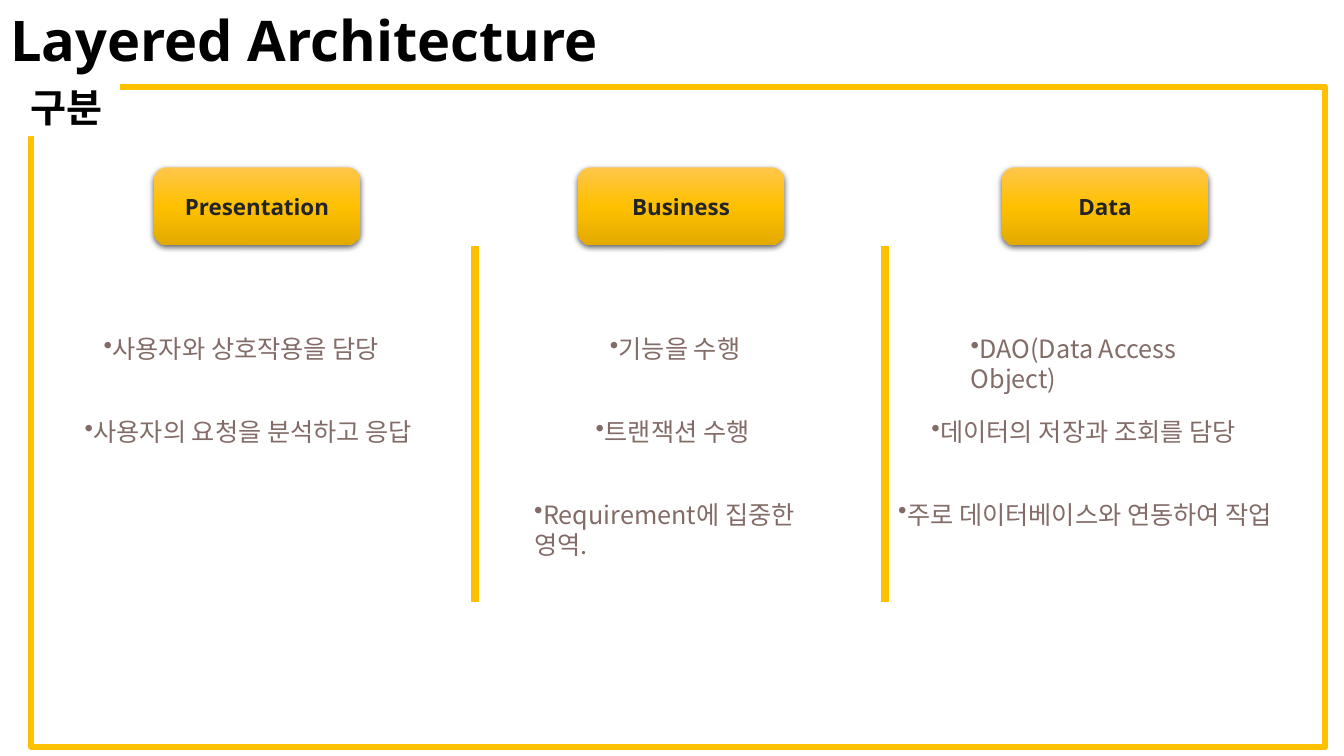
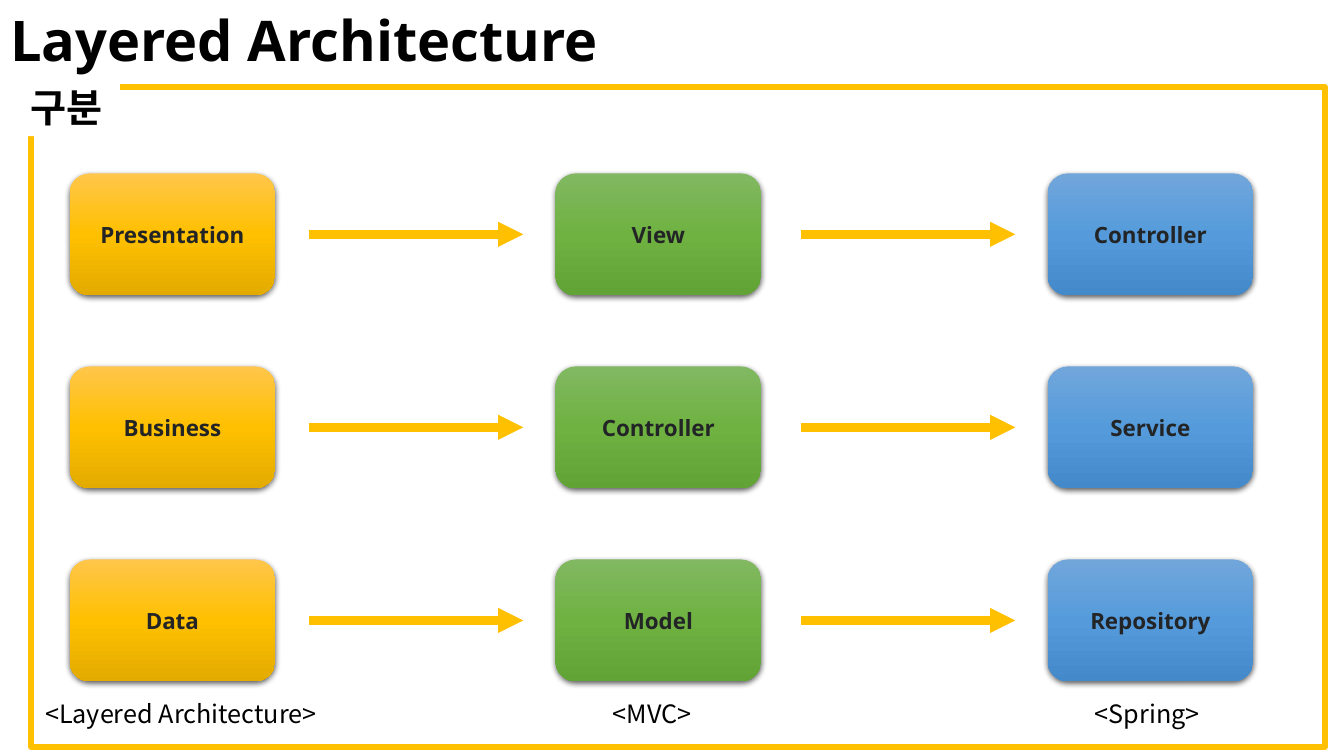
from copy import deepcopy

from pptx import Presentation
from pptx.dml.color import RGBColor
from pptx.enum.shapes import MSO_CONNECTOR, MSO_SHAPE
from pptx.enum.text import MSO_ANCHOR, MSO_AUTO_SIZE, PP_ALIGN
from pptx.oxml import parse_xml
from pptx.oxml.ns import nsdecls, qn
from pptx.util import Inches, Pt

TITLE = "Layered Architecture"
SECTION = "구분"
HEADING_FONT = "Noto Sans"
BODY_FONT = "Noto Sans CJK KR"
BLACK, WHITE, GOLD = "000000", "FFFFFF", "FFC000"
BOX_TEXT, BULLET_TEXT = "222426", "836C68"
GOLD_GRADIENT = ("FFC64B", "FFC000", "E3AB00")
GREEN_GRADIENT = ("81B861", "6FB242", "62A336")
BLUE_GRADIENT = ("71A6DB", "559BDB", "448ACA")

BOX_WIDTH = 2.04
LINE_HEIGHT = 0.4

LAYERS = [
    ("Presentation", [
        ("사용자와 상호작용을 담당", 0.93, 3.28),
        ("사용자의 요청을 분석하고 응답", 0.74, 3.78),
    ]),
    ("Business", [
        ("기능을 수행", 5.95, 1.67),
        ("트랜잭션 수행", 5.81, 1.92),
        ("Requirement에 집중한 영역.", 5.2, 3.29),
    ]),
    ("Data", [
        ("DAO(Data Access Object)", 9.53, 2.97),
        ("데이터의 저장과 조회를 담당", 9.14, 3.75),
        ("주로 데이터베이스와 연동하여 작업", 8.81, 4.29),
    ]),
]
LAYER_LEFT, LAYER_PITCH, LAYER_TOP, LAYER_HEIGHT = 1.53, 4.205, 1.66, 0.77
BULLET_TOP, BULLET_PITCH = 3.26, 0.82
DIVIDERS, DIVIDER_TOP, DIVIDER_BOTTOM = (4.71, 8.78), 2.44, 5.97

MAPPING = [
    (0.69, GOLD_GRADIENT, ["Presentation", "Business", "Data"],
     "<Layered Architecture>", 0.35, 2.9),
    (5.51, GREEN_GRADIENT, ["View", "Controller", "Model"], "<MVC>", 5.98, 1.1),
    (10.39, BLUE_GRADIENT, ["Controller", "Service", "Repository"],
     "<Spring>", 10.76, 1.29),
]
MAPPING_TOP, MAPPING_PITCH, MAPPING_HEIGHT = 1.72, 1.915, 1.21
ARROW_LEFTS, ARROW_LENGTH = (3.06, 7.94), 2.13
CAPTION_TOP = 6.88


def rgb(color):
    return RGBColor.from_string(color)


def inches(*lengths):
    return [Inches(length) for length in lengths]


def write(text_frame, text, size, color, font=BODY_FONT, bold=False,
          align=PP_ALIGN.LEFT, bullet=False):
    text_frame.text = text
    paragraph = text_frame.paragraphs[0]
    paragraph.alignment = align
    if bullet:
        paragraph._p.get_or_add_pPr().append(
            parse_xml(f'<a:buChar {nsdecls("a")} char="•"/>'))
    for run in paragraph.runs:
        run.font.size = Pt(size)
        run.font.name = font
        run.font.bold = bold
        run.font.color.rgb = rgb(color)
        run.font._element.append(
            parse_xml(f'<a:ea {nsdecls("a")} typeface="{font}"/>'))


def add_text(slide, place, text, size, color, wrap=True, **style):
    box = slide.shapes.add_textbox(*inches(*place))
    box.text_frame.word_wrap = wrap
    box.text_frame.auto_size = MSO_AUTO_SIZE.SHAPE_TO_FIT_TEXT
    write(box.text_frame, text, size, color, **style)
    return box


def add_line(slide, start, end, arrow=False):
    line = slide.shapes.add_connector(MSO_CONNECTOR.STRAIGHT, *inches(*start, *end))
    line.line.color.rgb = rgb(GOLD)
    line.line.width = Pt(6)
    if arrow:
        line.line._get_or_add_ln().append(
            parse_xml(f'<a:tailEnd {nsdecls("a")} type="triangle"/>'))
    line.element.spPr.append(parse_xml(f'<a:effectLst {nsdecls("a")}/>'))


def add_layer_box(slide, place, text, gradient):
    box = slide.shapes.add_shape(MSO_SHAPE.ROUNDED_RECTANGLE, *inches(*place))
    box.line.fill.background()
    box.fill.gradient()
    box.fill.gradient_angle = 270
    stop_list = box.element.spPr.find(".//" + qn("a:gsLst"))
    stop_list.append(deepcopy(stop_list[0]))
    for stop, color, position in zip(box.fill.gradient_stops, gradient, (0, 0.5, 1)):
        stop.color.rgb = rgb(color)
        stop.position = position
    box.shadow.inherit = False
    box.element.spPr.find(qn("a:effectLst")).append(parse_xml(
        f'<a:outerShdw {nsdecls("a")} blurRad="{Pt(4.5)}" dist="{Pt(1.5)}" '
        'dir="5400000" algn="ctr" rotWithShape="0"><a:srgbClr val="000000">'
        '<a:alpha val="63000"/></a:srgbClr></a:outerShdw>'))
    box.text_frame.vertical_anchor = MSO_ANCHOR.MIDDLE
    write(box.text_frame, text, 16, BOX_TEXT, HEADING_FONT, True, PP_ALIGN.CENTER)


def add_framed_slide(presentation):
    slide = presentation.slides.add_slide(presentation.slide_layouts[5])
    title = slide.shapes.title
    title.left, title.top, title.width, title.height = inches(0, 0, 7.27, 0.77)
    title.text_frame.vertical_anchor = MSO_ANCHOR.TOP
    title.text_frame.auto_size = MSO_AUTO_SIZE.SHAPE_TO_FIT_TEXT
    write(title.text_frame, TITLE, 40, BLACK, HEADING_FONT, True)
    frame = slide.shapes.add_shape(MSO_SHAPE.RECTANGLE, *inches(0.31, 0.86, 12.83, 6.55))
    frame.fill.background()
    frame.line.color.rgb = rgb(GOLD)
    frame.line.width = Pt(4.5)
    frame.shadow.inherit = False
    label = add_text(slide, (0.2, 0.78, 0.99, 0.57), SECTION, 28, BLACK,
                     wrap=False, font=HEADING_FONT, bold=True)
    label.fill.solid()
    label.fill.fore_color.rgb = rgb(WHITE)
    return slide


def build_layers(presentation):
    slide = add_framed_slide(presentation)
    for x in DIVIDERS:
        add_line(slide, (x, DIVIDER_TOP), (x, DIVIDER_BOTTOM))
    for column, (name, bullets) in enumerate(LAYERS):
        left = LAYER_LEFT + column * LAYER_PITCH
        add_layer_box(slide, (left, LAYER_TOP, BOX_WIDTH, LAYER_HEIGHT), name, GOLD_GRADIENT)
        for row, (text, text_left, width) in enumerate(bullets):
            top = BULLET_TOP + row * BULLET_PITCH
            add_text(slide, (text_left, top, width, LINE_HEIGHT), text, 18,
                     BULLET_TEXT, bullet=True)


def build_mapping(presentation):
    slide = add_framed_slide(presentation)
    for left, gradient, names, caption, caption_left, caption_width in MAPPING:
        for row, name in enumerate(names):
            top = MAPPING_TOP + row * MAPPING_PITCH
            add_layer_box(slide, (left, top, BOX_WIDTH, MAPPING_HEIGHT), name, gradient)
        add_text(slide, (caption_left, CAPTION_TOP, caption_width, LINE_HEIGHT),
                 caption, 18, BLACK, wrap=False)
    for row in range(3):
        middle = MAPPING_TOP + row * MAPPING_PITCH + MAPPING_HEIGHT / 2
        for left in ARROW_LEFTS:
            add_line(slide, (left, middle), (left + ARROW_LENGTH, middle), arrow=True)


def main():
    presentation = Presentation()
    presentation.slide_width, presentation.slide_height = inches(13.33, 7.5)
    build_layers(presentation)
    build_mapping(presentation)
    presentation.save("out.pptx")


if __name__ == "__main__":
    main()
